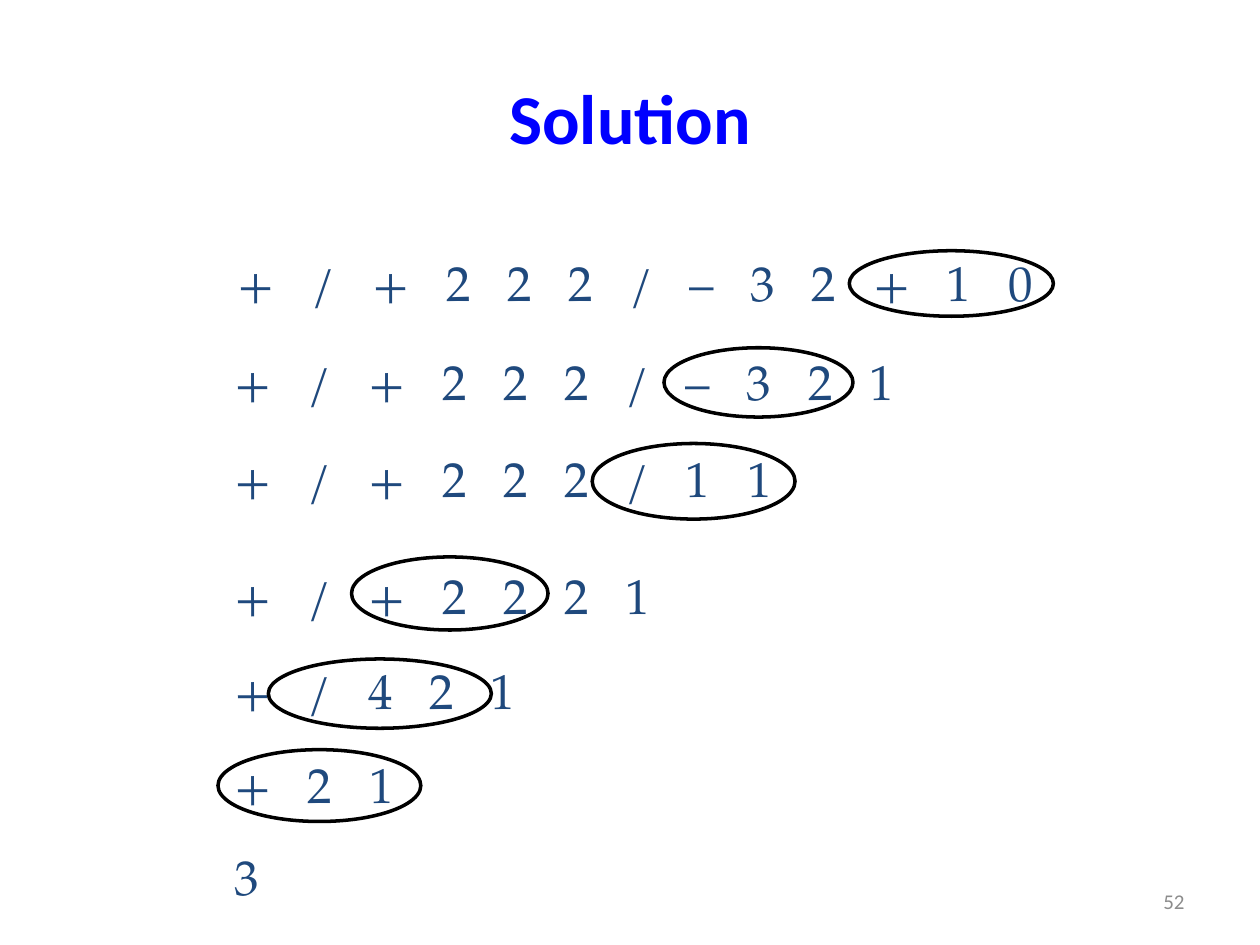
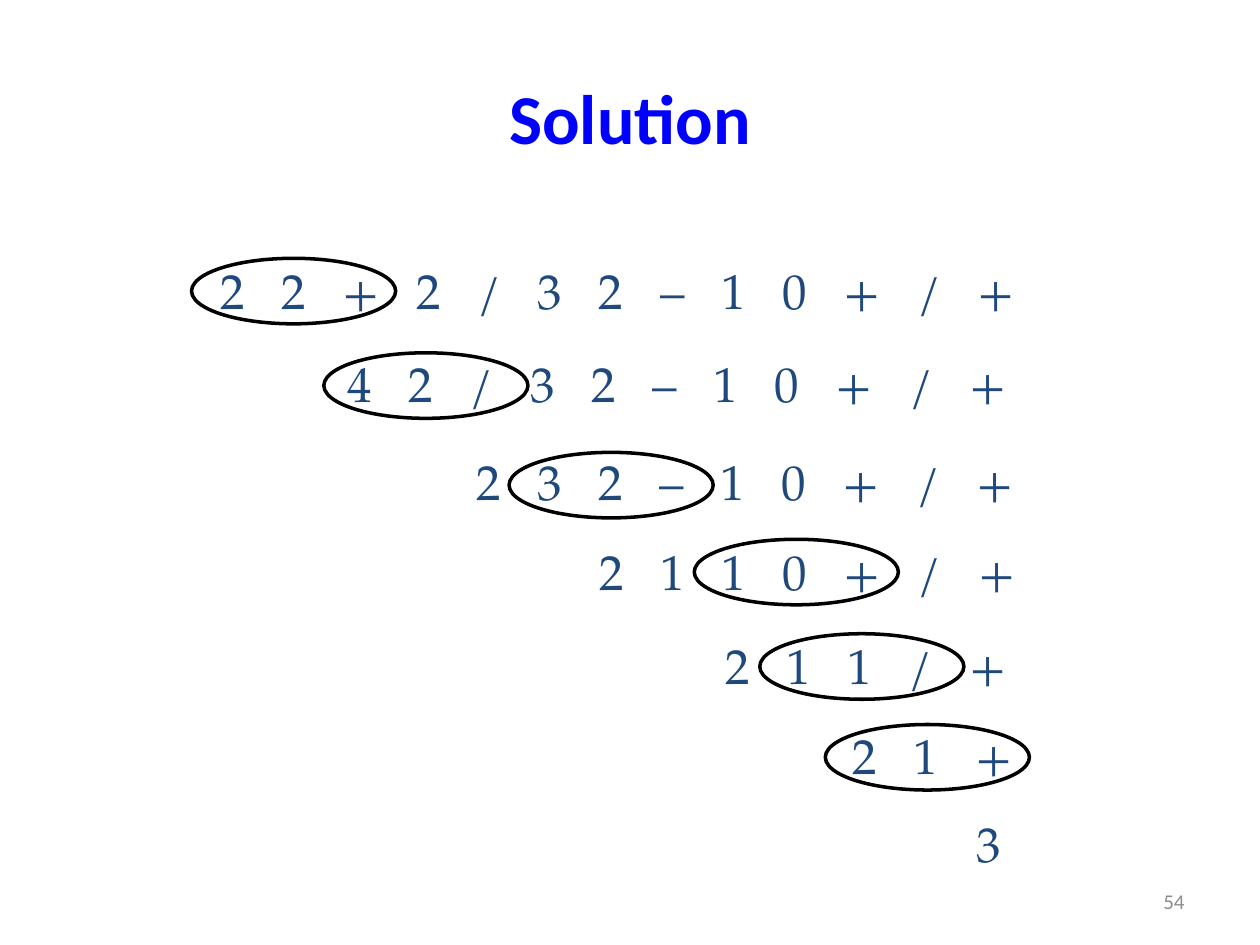
from pptx import Presentation
from pptx.dml.color import RGBColor
from pptx.enum.shapes import MSO_SHAPE
from pptx.enum.text import MSO_ANCHOR, MSO_AUTO_SIZE, PP_ALIGN
from pptx.util import Pt

PX = 9144
OVAL = MSO_SHAPE.OVAL
TOP, MIDDLE = MSO_ANCHOR.TOP, MSO_ANCHOR.MIDDLE
GROW, FIXED = MSO_AUTO_SIZE.SHAPE_TO_FIT_TEXT, MSO_AUTO_SIZE.NONE
LEFT, CENTER, RIGHT = PP_ALIGN.LEFT, PP_ALIGN.CENTER, PP_ALIGN.RIGHT
BLUE = RGBColor(0x00, 0x00, 0xFF)
NAVY = RGBColor(0x1F, 0x49, 0x7D)
GRAY = RGBColor(0x8C, 0x8C, 0x8C)
BLACK = RGBColor(0x00, 0x00, 0x00)

TITLE = {"name": "Calibri", "size": Pt(40), "bold": True}
NUMBER = {"name": "Calibri", "size": Pt(12)}
TERM = {"name": "TeX Gyre Pagella", "size": Pt(28)}
TRACK = 700
TIGHT = 0.9

PREFIX = [
    ("+ / + 2 2 2 / – 3 2 + 1 0", (179, 201, 701, 52), (674, 199, 162, 52)),
    ("+ / + 2 2 2 / – 3 2 1", (176, 274, 573, 57), (527, 276, 150, 55)),
    ("+ / + 2 2 2 / 1 1", (176, 351, 485, 57), (470, 352, 161, 60)),
    ("+ / + 2 2 2 1", (176, 444, 380, 57), (279, 442, 156, 58)),
    ("+ / 4 2 1", (176, 519, 298, 57), (213, 523, 177, 55)),
    ("+ 2 1", (176, 594, 196, 57), (173, 595, 161, 57)),
    ("3", (176, 667, 40, 57), None),
]
POSTFIX = [
    ("2 2 + 2 / 3 2 – 1 0 + / +", (165, 207, 685), (152, 205)),
    ("4 2 / 3 2 – 1 0 + / +", (266, 281, 580), (257, 280)),
    ("2 3 2 – 1 0 + / +", (368, 359, 496), (404, 359)),
    ("2 1 1 0 + / +", (466, 430, 399), (551, 428)),
    ("2 1 1 / +", (566, 505, 292), (603, 503)),
    ("2 1 +", (667, 576, 198), (655, 575)),
    ("3", (765, 646, 67), None),
]


class Deck:
    def __init__(self):
        self.file = Presentation()
        self.file.slide_width = 1000 * PX
        self.file.slide_height = 750 * PX
        self.slide = None

    def page(self, number):
        self.slide = self.file.slides.add_slide(self.file.slide_layouts[6])
        self.text(number, (717, 695, 233, 40), NUMBER, GRAY, RIGHT)
        self.text("Solution", (50, 30, 900, 125), TITLE, BLUE, CENTER)

    def text(self, words, box, style, color, align, anchor=MIDDLE, size=FIXED):
        frame = self.slide.shapes.add_textbox(*(n * PX for n in box)).text_frame
        form = {"word_wrap": True, "auto_size": size, "vertical_anchor": anchor}
        for key, value in form.items():
            setattr(frame, key, value)
        line = frame.paragraphs[0]
        line.alignment = align
        run = line.add_run()
        run.text = words
        for key, value in style.items():
            setattr(run.font, key, value)
        run.font.color.rgb = color
        return line

    def term(self, words, box, tight):
        line = self.text(words, box, TERM, NAVY, LEFT, TOP, GROW)
        line.runs[0]._r.get_or_add_rPr().set("spc", str(TRACK))
        if tight:
            line.line_spacing = TIGHT

    def ring(self, box):
        oval = self.slide.shapes.add_shape(OVAL, *(n * PX for n in box))
        oval.shadow.inherit = False
        oval.fill.background()
        oval.line.color.rgb = BLACK
        oval.line.width = Pt(2)

    def steps(self, rows):
        for words, box, _ in rows:
            self.term(words, box, box[3] == 52)
        for _, _, ring in rows:
            if ring:
                self.ring(ring)


def main():
    deck = Deck()
    deck.page("52")
    deck.steps(PREFIX)
    deck.page("54")
    deck.steps([(words, (*box, 52), ring and (*ring, 162, 52))
                for words, box, ring in POSTFIX])
    deck.file.save("out.pptx")


if __name__ == "__main__":
    main()
